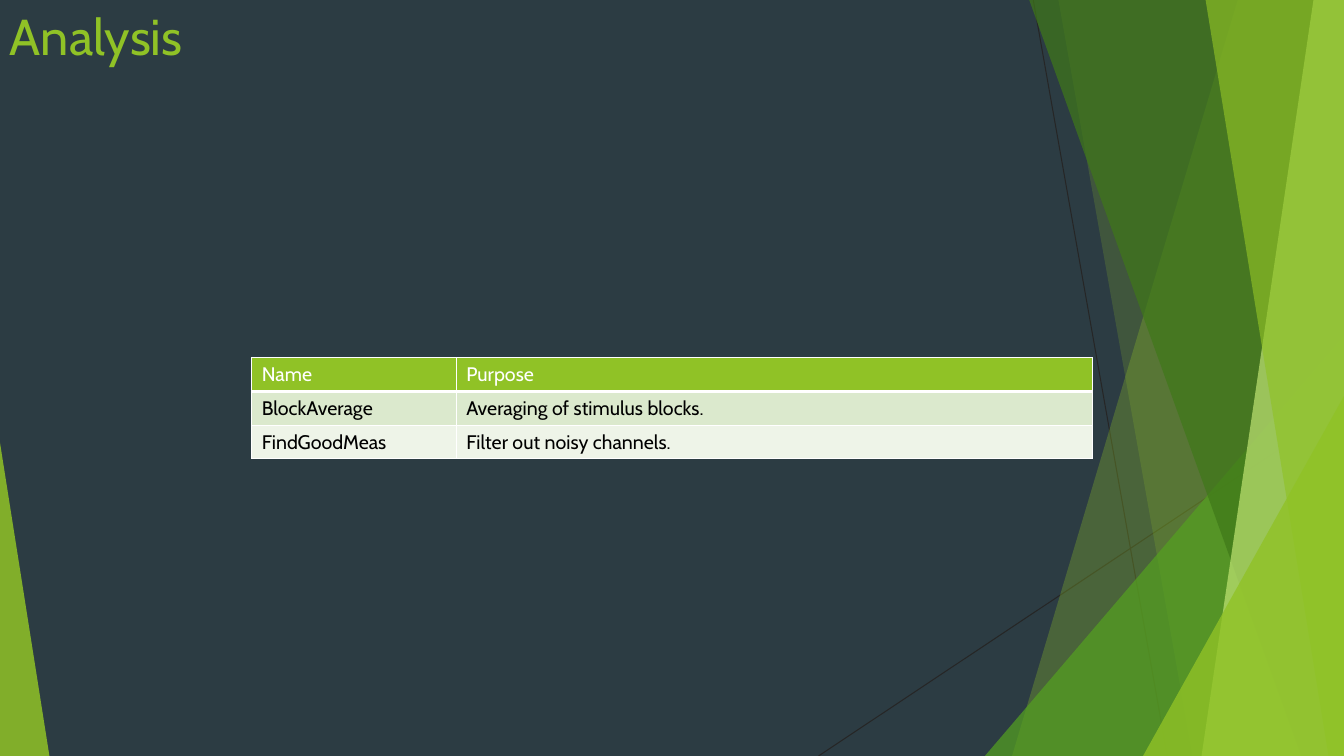
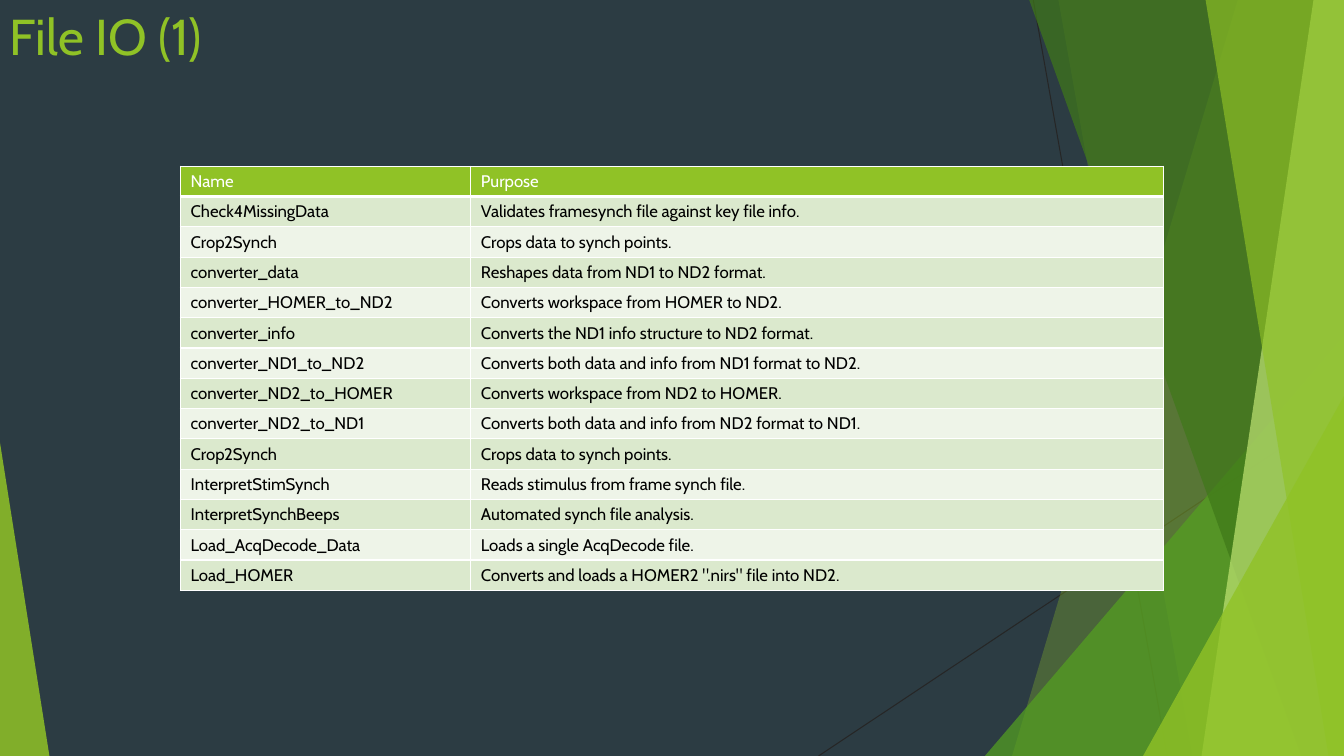
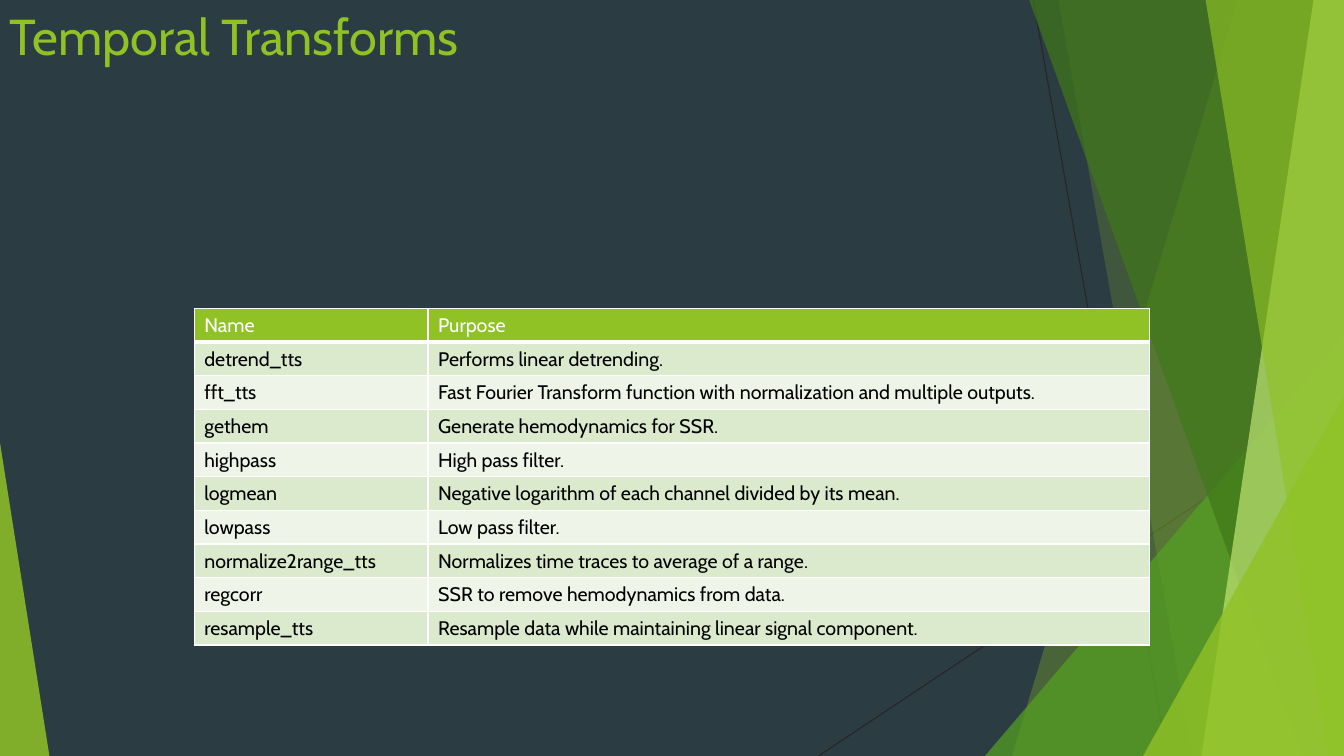
from dataclasses import dataclass

from pptx import Presentation
from pptx.dml.color import RGBColor
from pptx.enum.shapes import MSO_CONNECTOR, MSO_SHAPE
from pptx.enum.text import MSO_ANCHOR
from pptx.oxml.ns import qn
from pptx.oxml.xmlchemy import OxmlElement
from pptx.util import Inches, Pt

STRAIGHT = MSO_CONNECTOR.STRAIGHT
TRIANGLE = MSO_SHAPE.ISOSCELES_TRIANGLE
TOP = MSO_ANCHOR.TOP


@dataclass(frozen=True)
class Theme:
    background: str = "2C3C43"
    ray: str = "262626"
    lime: str = "90C226"
    green: str = "54A021"
    forest: str = "3F7819"
    pale: str = "C0E474"
    white: str = "FFFFFF"
    black: str = "000000"
    bands: tuple = ("DBE9CD", "EEF4E8")
    font: str = "Cabin"
    title_size: int = 36
    ray_width: float = 0.75
    grid_width: int = 1
    header_rule: int = 3


THEME = Theme()


@dataclass(frozen=True)
class Box:
    """An area whose contents are placed in percent of its width and height."""
    left: int
    top: int
    width: int
    height: int

    def point(self, x, y):
        return (round(self.left + self.width * x / 100),
                round(self.top + self.height * y / 100))

    def inner(self, x, y, width, height):
        return Box(*self.point(x, y), round(self.width * width / 100),
                   round(self.height * height / 100))

    def frame(self):
        return self.left, self.top, self.width, self.height


# Facet background, from back to front, in percent of the slide
RAYS = [((76.88, 0), (86.85, 100)), ((100, 53.73), (60.9, 100))]
# Panel: top x, bottom x, colour, opacity; it reaches the right edge
# Corner: left, top, width, tip position, colour, opacity; it stands on the bottom
FACETS = [
    ("panel", 92.1, 75.3, THEME.lime, 30),
    ("panel", 78.75, 88.73, THEME.lime, 20),
    ("corner", 73.28, 44.4, 26.72, 1, THEME.green, 72),
    ("panel", 76.58, 96.83, THEME.forest, 70),
    ("panel", 97.73, 89.4, THEME.pale, 70),
    ("panel", 89.7, 98.85, THEME.lime, 65),
    ("corner", 85.05, 52.4, 14.95, 1, THEME.lime, 80),
    ("corner", 0, 58.53, 3.68, 0, THEME.lime, 85),
]


def rgb(colour):
    return RGBColor.from_string(colour)


def tint(facet, colour, opacity):
    facet.shadow.inherit = False
    facet.line.fill.background()
    facet.fill.solid()
    facet.fill.fore_color.rgb = rgb(colour)
    alpha = OxmlElement("a:alpha")
    alpha.set("val", str(opacity * 1000))
    next(facet._element.iter(qn("a:srgbClr"))).append(alpha)


def draw_panel(shapes, box, top_x, bottom_x, colour, opacity):
    outline = shapes.build_freeform(*box.point(top_x, 0))
    outline.add_line_segments(
        [box.point(100, 0), box.point(100, 100), box.point(bottom_x, 100)])
    tint(outline.convert_to_shape(), colour, opacity)


def draw_corner(shapes, box, left, top, width, tip, colour, opacity):
    corner = shapes.add_shape(
        TRIANGLE, *box.inner(left, top, width, 100 - top).frame())
    corner.adjustments[0] = tip
    tint(corner, colour, opacity)


def draw_facets(shapes, box):
    for start, end in RAYS:
        ray = shapes.add_connector(STRAIGHT, *box.point(*start), *box.point(*end))
        ray.line.color.rgb = rgb(THEME.ray)
        ray.line.width = Pt(THEME.ray_width)
        ray._element.spPr.append(OxmlElement("a:effectLst"))
    draw = {"panel": draw_panel, "corner": draw_corner}
    for kind, *details in FACETS:
        draw[kind](shapes, box, *details)


def write(text_frame, text, size, colour):
    run = text_frame.paragraphs[0].add_run()
    run.text = text
    run.font.name = THEME.font
    run.font.size = Pt(size)
    run.font.bold = False
    run.font.color.rgb = rgb(colour)


def draw_title(shapes, box, text):
    frame = shapes.add_textbox(*box.frame()).text_frame
    frame.word_wrap = True
    frame.vertical_anchor = TOP
    write(frame, text, THEME.title_size, THEME.lime)


def border_cell(cell, bottom_width):
    properties = cell._tc.get_or_add_tcPr()
    for side in ("lnL", "lnR", "lnT", "lnB"):
        width = bottom_width if side == "lnB" else THEME.grid_width
        edge = OxmlElement(f"a:{side}")
        edge.set("w", str(int(Pt(width))))
        fill = OxmlElement("a:solidFill")
        colour = OxmlElement("a:srgbClr")
        colour.set("val", THEME.white)
        fill.append(colour)
        edge.append(fill)
        properties.append(edge)


def draw_function_table(shapes, box, name_share, size, functions):
    rows = [("Name", "Purpose"), *functions]
    table = shapes.add_table(len(rows), 2, *box.frame()).table
    table.horz_banding = False
    table.columns[0].width = round(box.width * name_share / 100)
    table.columns[1].width = box.width - table.columns[0].width
    for r, row in enumerate(rows):
        header = r == 0
        for c, text in enumerate(row):
            cell = table.cell(r, c)
            border_cell(cell, THEME.header_rule if header else THEME.grid_width)
            cell.fill.solid()
            cell.fill.fore_color.rgb = rgb(
                THEME.lime if header else THEME.bands[(r - 1) % 2])
            cell.vertical_anchor = TOP
            write(cell.text_frame, text, size,
                  THEME.white if header else THEME.black)


def add_function_slide(prs, title, top, width, name_share, size, functions):
    """A titled slide with a horizontally centred table of functions."""
    page = Box(0, 0, prs.slide_width, prs.slide_height)
    shapes = prs.slides.add_slide(prs.slide_layouts[6]).shapes
    draw_facets(shapes, page)
    draw_title(shapes, page.inner(0, 0, 70.5, 19.2), title)
    row_height = 4 if size == 12 else 4.44
    area = page.inner((100 - width) / 2, top, width,
                      row_height * (len(functions) + 1))
    draw_function_table(shapes, area, name_share, size, functions)


ANALYSIS = [
    ("BlockAverage", "Averaging of stimulus blocks."),
    ("FindGoodMeas", "Filter out noisy channels."),
]
FILE_IO = [
    ("Check4MissingData", "Validates framesynch file against key file info."),
    ("Crop2Synch", "Crops data to synch points."),
    ("converter_data", "Reshapes data from ND1 to ND2 format."),
    ("converter_HOMER_to_ND2", "Converts workspace from HOMER to ND2."),
    ("converter_info", "Converts the ND1 info structure to ND2 format."),
    ("converter_ND1_to_ND2", "Converts both data and info from ND1 format to ND2."),
    ("converter_ND2_to_HOMER", "Converts workspace from ND2 to HOMER."),
    ("converter_ND2_to_ND1", "Converts both data and info from ND2 format to ND1."),
    ("Crop2Synch", "Crops data to synch points."),
    ("InterpretStimSynch", "Reads stimulus from frame synch file."),
    ("InterpretSynchBeeps", "Automated synch file analysis."),
    ("Load_AcqDecode_Data", "Loads a single AcqDecode file."),
    ("Load_HOMER", 'Converts and loads a HOMER2 ".nirs" file into ND2.'),
]
TEMPORAL = [
    ("detrend_tts", "Performs linear detrending."),
    ("fft_tts", "Fast Fourier Transform function with normalization and multiple outputs."),
    ("gethem", "Generate hemodynamics for SSR."),
    ("highpass", "High pass filter."),
    ("logmean", "Negative logarithm of each channel divided by its mean."),
    ("lowpass", "Low pass filter."),
    ("normalize2range_tts", "Normalizes time traces to average of a range."),
    ("regcorr", "SSR to remove hemodynamics from data."),
    ("resample_tts", "Resample data while maintaining linear signal component."),
]


def main():
    prs = Presentation()
    prs.slide_width, prs.slide_height = Inches(13.33), Inches(7.5)
    backdrop = prs.slide_master.background.fill
    backdrop.solid()
    backdrop.fore_color.rgb = rgb(THEME.background)

    # Title, table top, table width, name column share, text size, rows
    add_function_slide(prs, "Analysis", 47.33, 62.55, 24.34, 14, ANALYSIS)
    add_function_slide(prs, "File IO (1)", 22, 73.13, 29.54, 12, FILE_IO)
    add_function_slide(prs, "Temporal Transforms", 40.8, 71.1, 24.47, 14, TEMPORAL)
    prs.save("out.pptx")


if __name__ == "__main__":
    main()
